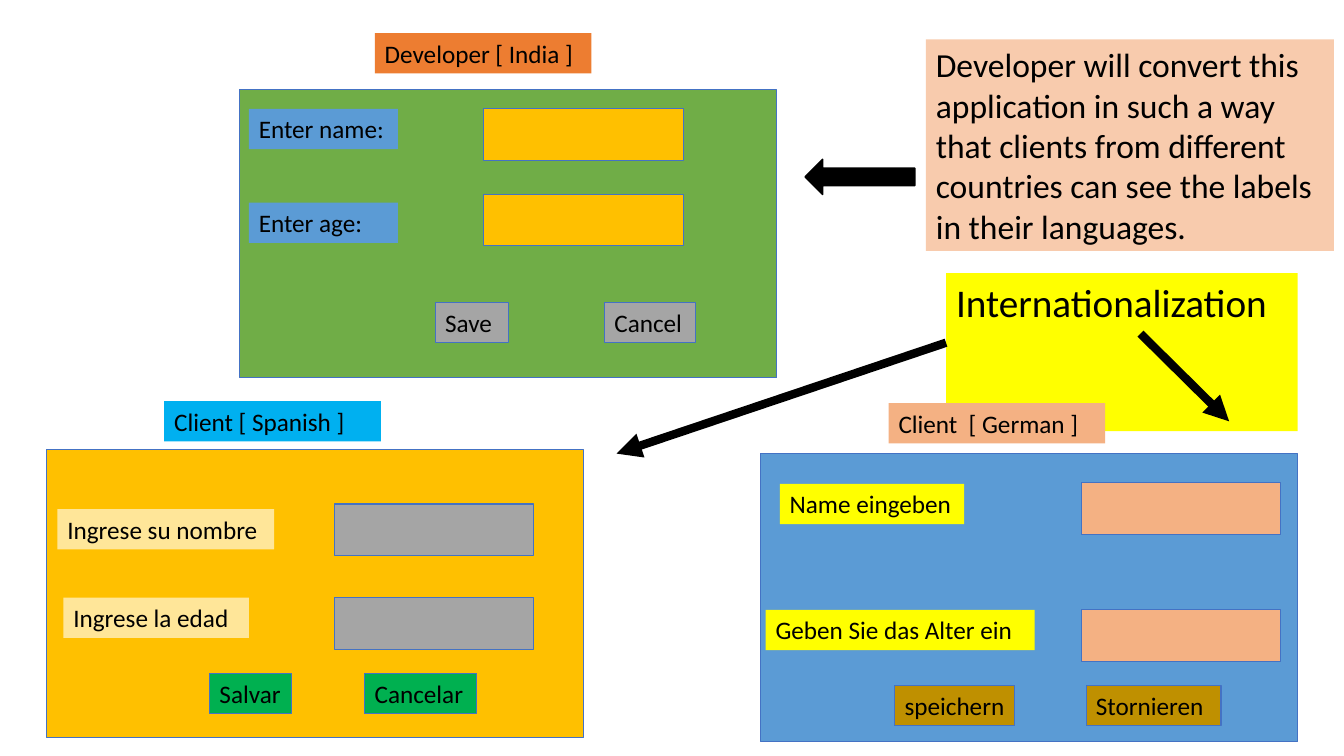
from dataclasses import dataclass

from lxml.etree import SubElement
from pptx import Presentation
from pptx.dml.color import RGBColor
from pptx.enum.shapes import MSO_CONNECTOR, MSO_SHAPE
from pptx.enum.text import MSO_ANCHOR, MSO_AUTO_SIZE, PP_ALIGN
from pptx.oxml.ns import qn
from pptx.util import Inches, Pt


@dataclass(frozen=True)
class Theme:
    font: str = "Calibri"
    label_size: int = 18
    note_size: int = 24
    title_size: int = 28
    ink: str = "000000"
    outline: str = "4472C4"
    green: str = "70AD47"
    blue: str = "5B9BD5"
    gold: str = "FFC000"
    grey: str = "A5A5A5"
    orange: str = "ED7D31"
    sky: str = "00B0F0"
    peach: str = "F4B183"
    cream: str = "FFE699"
    emerald: str = "00B050"
    yellow: str = "FFFF00"
    bronze: str = "BF9000"
    blush: str = "F8CBAD"


@dataclass(frozen=True)
class Label:
    text: str
    left: float
    top: float
    width: float
    fill: str
    outlined: bool = False


@dataclass(frozen=True)
class Form:
    left: float
    top: float
    fill: str
    field_fill: str
    field_left: float
    field_tops: tuple[float, ...]
    labels: tuple[Label, ...]


THEME = Theme()
PANEL_SIZE = (5.33, 2.86)
FIELD_SIZE = (1.98, 0.51)
LABEL_HEIGHT = 0.4

FORMS = (
    Form(2.38, 0.89, THEME.green, THEME.gold, 4.8, (1.08, 1.93), (
        Label("Developer [ India ]", 3.72, 0.33, 2.15, THEME.orange),
        Label("Enter name:", 2.47, 1.08, 1.48, THEME.blue),
        Label("Enter age:", 2.47, 2.01, 1.48, THEME.blue),
        Label("Save", 4.32, 3, 0.73, THEME.grey, True),
        Label("Cancel", 6, 3, 0.9, THEME.grey, True),
    )),
    Form(0.46, 4.46, THEME.gold, THEME.grey, 3.32, (5, 5.93), (
        Label("Client [ Spanish ]", 1.63, 3.98, 2.15, THEME.sky),
        Label("Ingrese su nombre", 0.57, 5.05, 2.15, THEME.cream),
        Label("Ingrese la edad", 0.63, 5.93, 1.84, THEME.cream),
        Label("Salvar", 2.08, 6.68, 0.81, THEME.emerald, True),
        Label("Cancelar", 3.62, 6.68, 1.11, THEME.emerald, True),
    )),
    Form(7.55, 4.5, THEME.blue, THEME.peach, 10.73, (4.79, 6.05), (
        Label("Client  [ German ]", 8.82, 4, 2.15, THEME.peach),
        Label("Name eingeben", 7.74, 4.8, 1.83, THEME.yellow),
        Label("Geben Sie das Alter ein", 7.6, 6.05, 2.67, THEME.yellow),
        Label("speichern", 8.88, 6.8, 1.19, THEME.bronze, True),
        Label("Stornieren", 10.78, 6.8, 1.34, THEME.bronze, True),
    )),
)
TRANSLATION_ARROWS = (((9.39, 3.4), (6.12, 4.5)), ((11.32, 3.31), (12.2, 4.18)))


def rgb(colour: str) -> RGBColor:
    return RGBColor.from_string(colour)


def paint(shape, fill: str) -> None:
    shape.fill.solid()
    shape.fill.fore_color.rgb = rgb(fill)


def add_box(slide, left: float, top: float, width: float, height: float, *,
            fill: str, outline: str | None = THEME.outline, weight: float = 0.75,
            preset=MSO_SHAPE.RECTANGLE):
    box = slide.shapes.add_shape(
        preset, Inches(left), Inches(top), Inches(width), Inches(height))
    box.shadow.inherit = False
    paint(box, fill)
    if outline:
        box.line.color.rgb = rgb(outline)
        box.line.width = Pt(weight)
    else:
        box.line.fill.background()
    return box


def write(shape, text: str, *, size: int = THEME.label_size) -> None:
    frame = shape.text_frame
    frame.word_wrap = True
    frame.auto_size = MSO_AUTO_SIZE.SHAPE_TO_FIT_TEXT
    frame.vertical_anchor = MSO_ANCHOR.TOP
    frame.margin_left = Inches(0.1)
    frame.margin_top = frame.margin_bottom = frame.margin_right = Inches(0.05)
    paragraph = frame.paragraphs[0]
    paragraph.alignment = PP_ALIGN.LEFT
    paragraph.line_spacing = 1.0
    run = paragraph.add_run()
    run.text = text
    run.font.name = THEME.font
    run.font.size = Pt(size)
    run.font.color.rgb = rgb(THEME.ink)


def add_form(slide, form: Form) -> None:
    add_box(slide, form.left, form.top, *PANEL_SIZE, fill=form.fill)
    for field_top in form.field_tops:
        add_box(slide, form.field_left, field_top, *FIELD_SIZE, fill=form.field_fill)
    for label in form.labels:
        box = add_box(slide, label.left, label.top, label.width, LABEL_HEIGHT,
                      fill=label.fill, outline=THEME.outline if label.outlined else None)
        write(box, label.text)


def add_arrow(slide, start: tuple[float, float], end: tuple[float, float]) -> None:
    arrow = slide.shapes.add_connector(
        MSO_CONNECTOR.STRAIGHT, *(Inches(value) for value in (*start, *end)))
    arrow.line.color.rgb = rgb(THEME.ink)
    arrow.line.width = Pt(6)
    SubElement(arrow.line._get_or_add_ln(), qn("a:tailEnd"), type="triangle")
    SubElement(arrow._element.spPr, qn("a:effectLst"))


def add_title(slide, text: str) -> None:
    title = slide.shapes.title
    title.left, title.top = Inches(9.39), Inches(2.71)
    title.width, title.height = Inches(3.49), Inches(0.57)
    paint(title, THEME.yellow)
    write(title, text, size=THEME.title_size)


def main() -> None:
    deck = Presentation()
    deck.slide_width, deck.slide_height = Inches(13.34), Inches(7.5)
    slide = deck.slides.add_slide(deck.slide_layouts[5])
    add_title(slide, "Internationalization")
    for form in FORMS:
        add_form(slide, form)
    note = add_box(slide, 9.19, 0.39, 4.05, 2.1, fill=THEME.blush, outline=None)
    write(note, "Developer will convert this application in such a way that clients from "
                "different countries can see the labels in their languages.",
          size=THEME.note_size)
    add_box(slide, 7.99, 1.58, 1.09, 0.35, fill=THEME.ink, outline=THEME.ink,
            weight=1, preset=MSO_SHAPE.LEFT_ARROW)
    for start, end in TRANSLATION_ARROWS:
        add_arrow(slide, start, end)
    deck.save("out.pptx")


if __name__ == "__main__":
    main()
